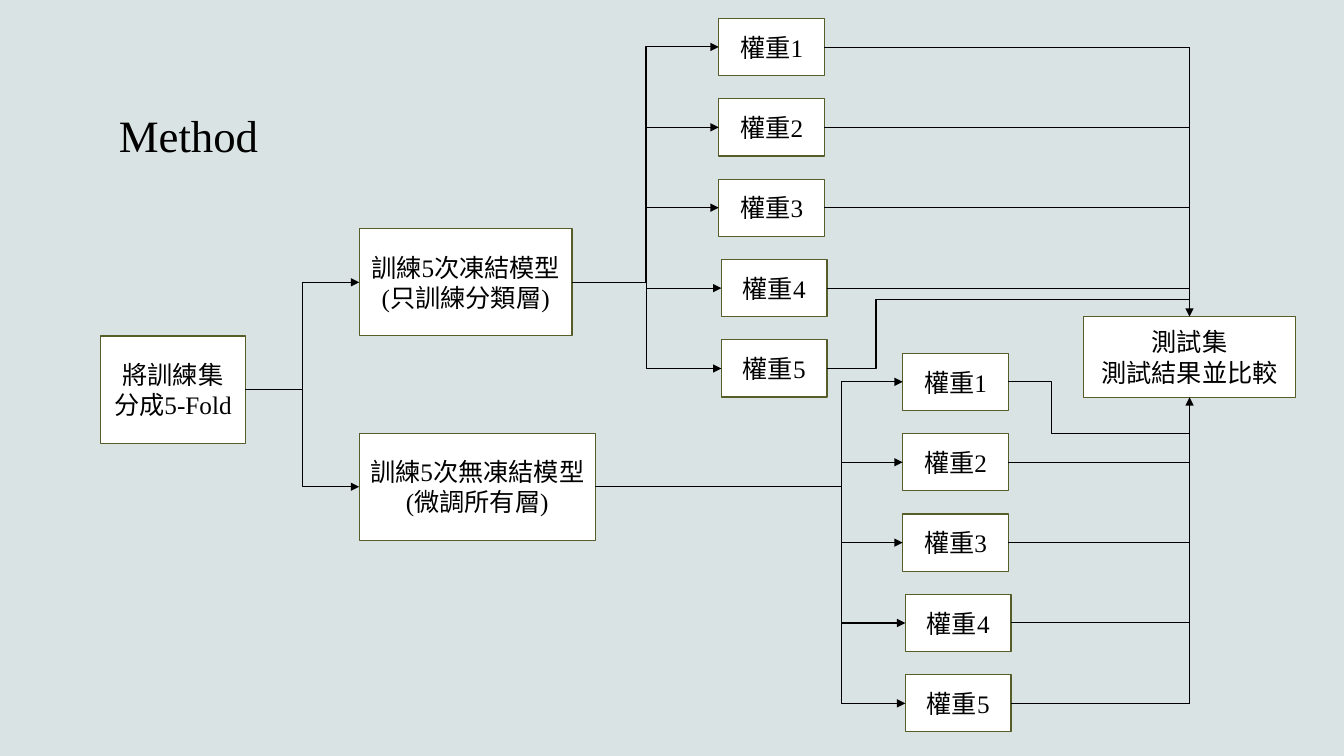
"""Build the Method slide: a five-fold training flow chart."""
from lxml.etree import SubElement
from pptx import Presentation
from pptx.dml.color import RGBColor
from pptx.enum.shapes import MSO_CONNECTOR, MSO_SHAPE
from pptx.enum.text import MSO_ANCHOR, PP_ALIGN
from pptx.oxml.ns import qn
from pptx.util import Pt

COLORS = {"background": "DAE3E3", "box": "FFFFFF", "border": "575D29", "ink": "000000"}
FONT = "Times New Roman"
TITLE = ("Method", (77.8, 31, 804, 87.8))
FOLD = (["將訓練集分成5-Fold"], (71.7, 240, 103.6, 76.6))
RESULT = (["測試集", "測試結果並比較"], (774, 226.2, 151.4, 57.6))
BRANCHES = [
    {"model": (["訓練5次凍結模型", "(只訓練分類層)"], (256.6, 163.4, 152.1, 76.6)),
     "weights_at": (513.4, 13.2), "bend": 461.5, "detour": (4, 625.7, 213.9)},
    {"model": (["訓練5次無凍結模型", "(微調所有層)"], (256.6, 309.4, 168.6, 76.6)),
     "weights_at": (644.8, 252.4), "bend": 601.2, "detour": (0, 751.2, 309.6)},
]
WEIGHTS = [f"權重{number}" for number in range(1, 6)]
WEIGHT_SIZE = (75.5, 40.8)
WEIGHT_PITCH = 57.4
WEIGHT_SHIFTS = (0, 0, 0, 1.9, 1.9)
FOLD_BEND = 216.2


def color(name):
    return RGBColor.from_string(COLORS[name])


def write(shape, lines, size, alignment, anchor):
    frame = shape.text_frame
    frame.word_wrap = True
    frame.vertical_anchor = anchor
    frame.text = "\n".join(lines)
    for paragraph in frame.paragraphs:
        paragraph.alignment = alignment
        paragraph.font.name = FONT
        paragraph.font.size = Pt(size)
        paragraph.font.color.rgb = color("ink")


def add_box(slide, lines, place):
    shape = slide.shapes.add_shape(MSO_SHAPE.RECTANGLE, *map(Pt, place))
    shape.shadow.inherit = False
    shape.fill.solid()
    shape.fill.fore_color.rgb = color("box")
    shape.line.color.rgb = color("border")
    shape.line.width = Pt(0.85)
    write(shape, lines, 18, PP_ALIGN.CENTER, MSO_ANCHOR.MIDDLE)


def left_middle(place):
    left, top, width, height = place
    return left, top + height / 2


def right_middle(place):
    left, top, width, height = place
    return left + width, top + height / 2


def connect(slide, start, end, bend=None, arrow=False):
    kind = MSO_CONNECTOR.STRAIGHT if bend is None else MSO_CONNECTOR.ELBOW
    connector = slide.shapes.add_connector(kind, *map(Pt, start + end))
    connector.line.color.rgb = color("ink")
    connector.line.width = Pt(0.75)
    properties = connector._element.spPr
    if bend is not None:
        share = round((bend - start[0]) / (end[0] - start[0]) * 100000)
        adjustments = properties.find(qn("a:prstGeom")).find(qn("a:avLst"))
        SubElement(adjustments, qn("a:gd"), name="adj1", fmla=f"val {share}")
    if arrow:
        SubElement(connector.line._get_or_add_ln(), qn("a:tailEnd"), type="triangle")
    SubElement(properties, qn("a:effectLst"))


def add_branch(slide, branch, bus):
    lines, model = branch["model"]
    add_box(slide, lines, model)
    connect(slide, right_middle(FOLD[1]), left_middle(model), FOLD_BEND, arrow=True)
    left, top = branch["weights_at"]
    detour_row, detour_bend, detour_y = branch["detour"]
    for row, (label, shift) in enumerate(zip(WEIGHTS, WEIGHT_SHIFTS)):
        weight = (left + shift, top + row * WEIGHT_PITCH, *WEIGHT_SIZE)
        add_box(slide, [label], weight)
        connect(slide, right_middle(model), left_middle(weight), branch["bend"], arrow=True)
        start = right_middle(weight)
        if row == detour_row:
            connect(slide, start, (bus, detour_y), detour_bend)
        else:
            connect(slide, start, (bus, start[1]))


def main():
    presentation = Presentation()
    presentation.slide_width, presentation.slide_height = Pt(960), Pt(540)
    slide = presentation.slides.add_slide(presentation.slide_layouts[6])
    slide.background.fill.solid()
    slide.background.fill.fore_color.rgb = color("background")

    text, place = TITLE
    title = slide.shapes.add_textbox(*map(Pt, place))
    write(title, [text], 32, PP_ALIGN.LEFT, MSO_ANCHOR.BOTTOM)
    add_box(slide, *FOLD)
    add_box(slide, *RESULT)

    left, top, width, height = RESULT[1]
    bus = left + width / 2
    for branch in BRANCHES:
        add_branch(slide, branch, bus)
    half = WEIGHT_SIZE[1] / 2
    first_y = BRANCHES[0]["weights_at"][1] + half
    last_y = BRANCHES[1]["weights_at"][1] + 4 * WEIGHT_PITCH + half
    connect(slide, (bus, first_y), (bus, top), arrow=True)
    connect(slide, (bus, last_y), (bus, top + height), arrow=True)
    presentation.save("out.pptx")


if __name__ == "__main__":
    main()
